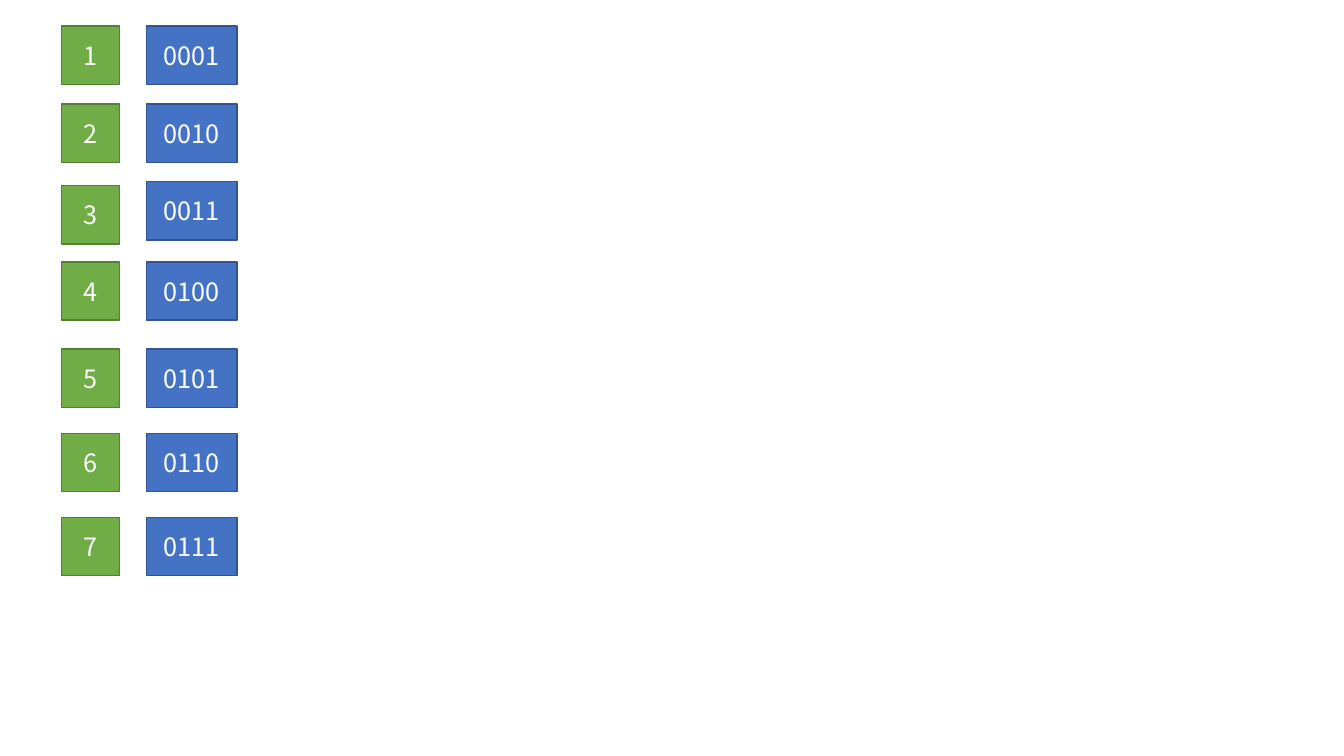
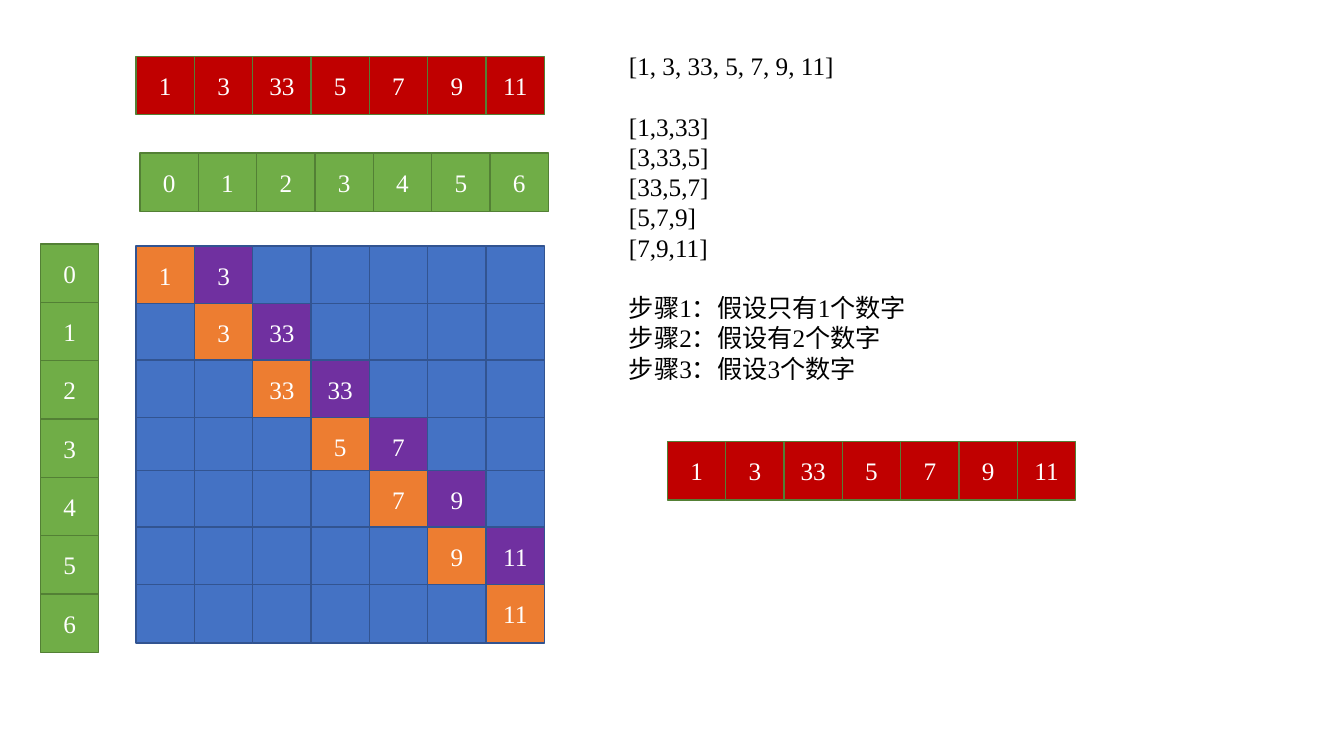
"""Build two slides: binary numbers and a window table."""
import pptx
import pptx.util
import pptx.dml.color
import pptx.enum.shapes
import pptx.enum.text

Cm, Pt = pptx.util.Cm, pptx.util.Pt
RGB = pptx.dml.color.RGBColor.from_string
ALIGN = pptx.enum.text.PP_ALIGN
ANCHOR = pptx.enum.text.MSO_ANCHOR

HUES = {
    "green": "70AD47", "moss": "538035", "blue": "4472C4", "navy": "325491",
    "red": "C00000", "orange": "ED7D31", "purple": "7030A0",
    "white": "FFFFFF", "black": "000000",
}
SANS, SERIF = "Noto Sans CJK SC", "Times New Roman"
SIDE = 1.47
LINE = 21.6


def write(shape, text, font=SERIF, hue="white", align=ALIGN.CENTER,
          anchor=ANCHOR.MIDDLE, wrap=True, pitch=None, gaps=()):
    frame = shape.text_frame
    frame.word_wrap = wrap
    frame.vertical_anchor = anchor
    frame.text = text
    for row, para in enumerate(frame.paragraphs):
        para.alignment = align
        para.line_spacing = pitch
        if row in gaps:
            para.space_before = pitch
        para.font.size = Pt(18)
        para.font.name = font
        para.font.color.rgb = RGB(HUES[hue])


def box(slide, left, top, text="", width=SIDE, fill="green", edge="moss", font=SERIF):
    shape = slide.shapes.add_shape(
        pptx.enum.shapes.MSO_SHAPE.RECTANGLE, Cm(left), Cm(top), Cm(width), Cm(SIDE))
    shape.shadow.inherit = False
    shape.fill.solid()
    shape.fill.fore_color.rgb = RGB(HUES[fill])
    shape.line.color.rgb = RGB(HUES[edge])
    shape.line.width = Pt(1)
    if text:
        write(shape, text, font=font)


deck = pptx.Presentation()
deck.slide_width, deck.slide_height = Cm(33.87), Cm(19.05)
blank = deck.slide_layouts[6]

slide = deck.slides.add_slide(blank)
tops = [0.66, 2.62, 4.58, 6.6, 8.8, 10.92, 13.04]
for num, top in enumerate(tops, 1):
    drop = 0.1 if num == 3 else 0
    box(slide, 1.55, top + drop, str(num), font=SANS)
    box(slide, 3.7, top, f"{num:04b}", width=2.27, fill="blue", edge="navy", font=SANS)

slide = deck.slides.add_slide(blank)
nums = [1, 3, 33, 5, 7, 9, 11]
for col, num in enumerate(nums):
    step = col * SIDE
    box(slide, 3.53 + step, 3.86, str(col))
    box(slide, 1.02, 6.15 + step, str(col))
    box(slide, 3.43 + step, 1.42, str(num), fill="red")
    box(slide, 16.82 + step, 11.13, str(num), fill="red")

tops = [6.2, 7.65, 9.07, 10.52, 11.86, 13.28, 14.73]
for row, top in enumerate(tops):
    for col in range(len(nums)):
        fill, text = "blue", ""
        if col == row:
            fill, text = "orange", str(nums[row])
        elif col == row + 1:
            fill, text = "purple", str(max(nums[row:col + 1]))
        box(slide, 3.43 + col * SIDE, top, text, fill=fill, edge="navy")

lines = [
    "[1, 3, 33, 5, 7, 9, 11]",
    "[1,3,33]", "[3,33,5]", "[33,5,7]", "[5,7,9]", "[7,9,11]",
    "步骤1：假设只有1个数字", "步骤2：假设有2个数字", "步骤3：假设3个数字",
]
note = slide.shapes.add_textbox(Cm(15.6), Cm(1.15), Cm(8.92), Cm(8.71))
write(note, "\n".join(lines), hue="black", align=ALIGN.LEFT,
      anchor=ANCHOR.TOP, pitch=Pt(LINE), gaps=(1, 6))

deck.save("out.pptx")
